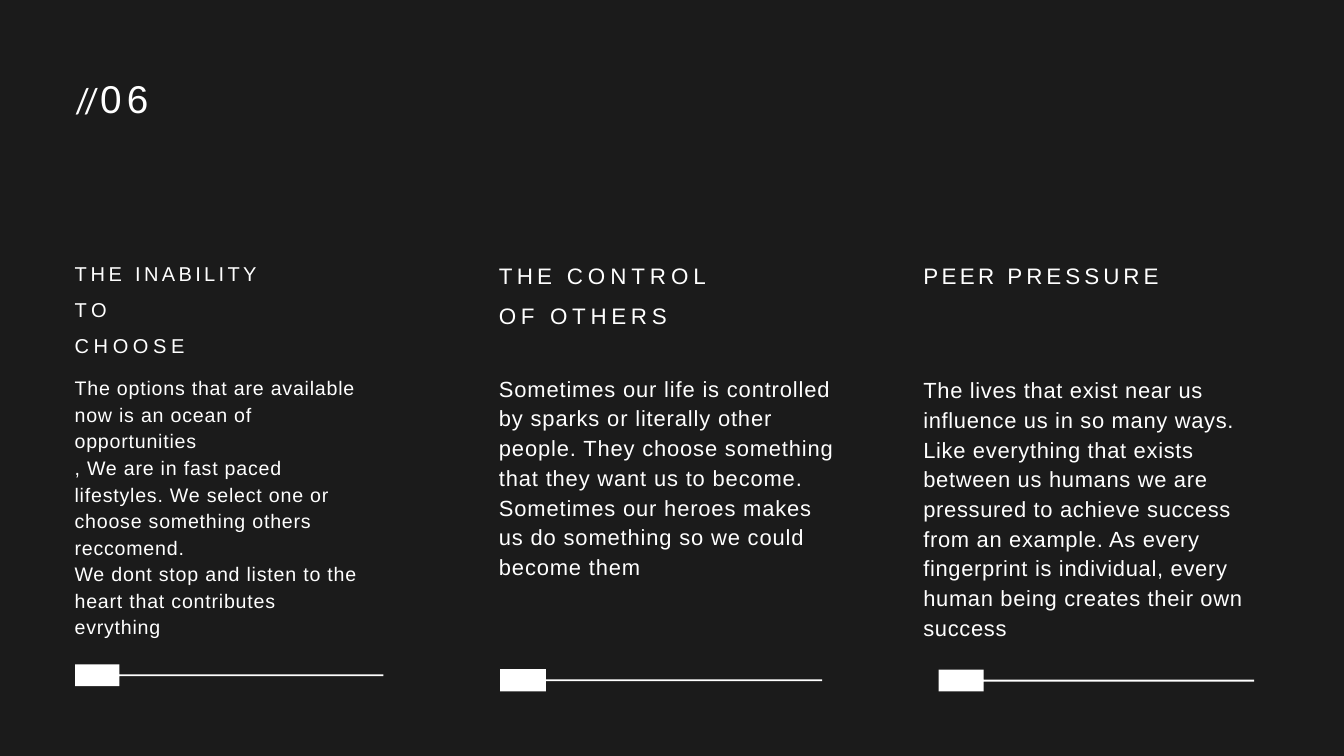
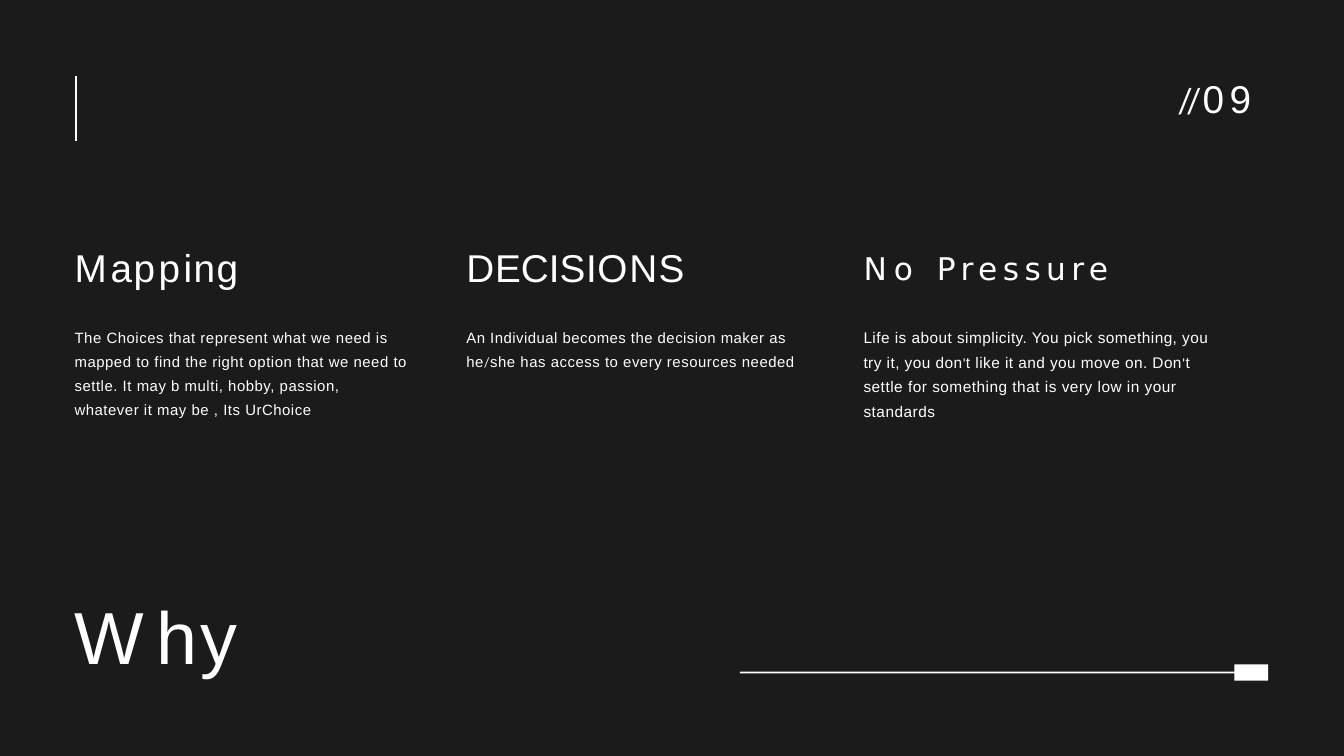
from copy import deepcopy
from dataclasses import dataclass

from pptx import Presentation
from pptx.dml.color import RGBColor
from pptx.enum.shapes import MSO_CONNECTOR
from pptx.enum.text import MSO_ANCHOR, MSO_AUTO_SIZE, PP_ALIGN
from pptx.oxml import parse_xml
from pptx.oxml.ns import nsdecls
from pptx.util import Cm, Pt

LEFT = PP_ALIGN.LEFT
TOP = MSO_ANCHOR.TOP
NO_FIT = MSO_AUTO_SIZE.NONE
STRAIGHT = MSO_CONNECTOR.STRAIGHT
TITLE_ONLY = 5


@dataclass(frozen=True)
class Theme:
    """Colours, fonts and sizes shared by the slides."""
    back: RGBColor = RGBColor(0x1B, 0x1B, 0x1B)
    ink: RGBColor = RGBColor(0xFF, 0xFF, 0xFF)
    font: str = "Arial"
    accent_font: str = "Lato"
    wide_font: str = "DejaVu Sans"
    slash: float = 36.5
    number: float = 41.5
    word: float = 79
    margin: float = 2.82
    bar: float = 0.07


THEME = Theme()

CAUSES = [
    dict(head=(9.4, 8.69, 2.79), head_size=21.5, head_line=1.49,
         title=[("THE ", 4), ("INABILITY ", 3.6), ("TO\vCHOOSE", 5)],
         body=(14.07, 11.48, 7.11), size=21, spacing=0.85,
         text=["The options that are available\vnow is an ocean of opportunities",
               ", We are in fast paced\vlifestyles. We select one or\v"
               "choose something others\vreccomend.",
               "We dont stop and listen to the\vheart that contributes\vevrything"],
         slider=(2.84, 25.12, 11.65, 0.82), knob=1.67),
    dict(head=(9.37, 9.86, 3.1), head_size=24, head_line=1.49,
         title=[("THE ", 4.5), ("CONTROL\v", 5.3), ("OF OTHERS", 5)],
         body=(14.02, 12.98, 7.95), size=23.5, spacing=0.92,
         text=["Sometimes our life is controlled\vby sparks or literally other\v"
               "people. They choose something\vthat they want us to become.",
               "Sometimes our heroes makes\vus do something so we could\vbecome them"],
         slider=(18.9, 25.3, 12.18, 0.84), knob=1.73),
    dict(head=(9.86, 9.07, 1.09), head_size=24, head_line=1,
         title=[("PEER ", 3.6), ("PRESSURE", 4.3)],
         body=(14.07, 12.14, 10.21), size=23.5, spacing=0.75,
         text=["The lives that exist near us\vinfluence us in so many ways.\v"
               "Like everything that exists\vbetween us humans we are\v"
               "pressured to achieve success\vfrom an example. As every\v"
               "fingerprint is individual, every\vhuman being creates their own\vsuccess"],
         slider=(35.48, 25.32, 11.92, 0.82), knob=1.7),
]

QUOTE = ("'", 0.5, THEME.accent_font, 14.5)
REASONS = [
    dict(left=2.82, head=(9.19, 6.4, 1.83), head_size=41.5, head_font=THEME.font,
         title=[("M", 4), ("a", 1.5), ("pp", 3.8), ("in", 1.5), ("g", 3.8)],
         body=(12.17, 12.7, 3.66), size=16,
         text=[("The Choices that represent what we need is\v"
                "mapped to find the right option that we need to\v"
                "settle. It may b multi, hobby, passion,\v"
                "whatever it may be , Its UrChoice", 0.6)]),
    dict(left=17.63, head=(9.19, 8.36, 1.83), head_size=41.5, head_font=THEME.font,
         title=[("D", 0.7), ("ECI", 0), ("SI", 0.6), ("O", 2), ("NS", 1.3)],
         body=(12.17, 12.57, 1.88), size=16,
         text=[("An Individual becomes the decision maker as\vhe", 0.53),
               ("/", 0.3, THEME.accent_font, 14),
               ("she has access to every resources needed", 0.6)]),
    dict(left=32.64, head=(9.4, 9.4, 1.5), head_size=33.5, head_font=THEME.wide_font,
         title=[("No ", 7.5), ("Pressure", 5.8)],
         body=(12.14, 13.26, 3.78), size=16.5,
         text=[("Life is about simplicity. You pick something, you\vtry it, you don", 0.5),
               QUOTE, ("t like it and you move on. Don", 0.5), QUOTE,
               ("t\vsettle for something that is very low in your\vstandards", 0.58)]),
]


def add_run(p, text, spacing, font, size):
    """Append one formatted run with letter spacing in points."""
    r = p.add_run()
    r.text = text
    for key, value in dict(name=font, size=Pt(size), bold=False).items():
        setattr(r.font, key, value)
    r.font.color.rgb = THEME.ink
    r._r.get_or_add_rPr().set("spc", str(round(spacing * 100)))
    return r


def fill_text(tf, paragraphs, size, font=THEME.font, line=1.0, inset=0):
    """Write paragraphs of (text, spacing[, font, size]) runs into a frame."""
    frame = dict(word_wrap=True, auto_size=NO_FIT, vertical_anchor=TOP,
                 margin_left=Cm(inset), margin_top=Cm(0.04),
                 margin_right=0, margin_bottom=0)
    for key, value in frame.items():
        setattr(tf, key, value)
    for i, runs in enumerate(paragraphs):
        p = tf.add_paragraph() if i else tf.paragraphs[0]
        p.alignment, p.line_spacing = LEFT, line
        for text, spacing, *look in runs:
            run_font, run_size = look or (font, size)
            for j, part in enumerate(text.split("\v")):
                if j:
                    p.add_line_break()
                    p._p[-1].append(deepcopy(r._r.rPr))
                if part:
                    r = add_run(p, part, spacing, run_font, run_size)


def add_text(s, left, box, paragraphs, size, **look):
    """Add a text box at left, with box giving top, width and height."""
    top, width, height = box
    sp = s.shapes.add_textbox(Cm(left), Cm(top), Cm(width), Cm(height))
    fill_text(sp.text_frame, paragraphs, size, **look)


def add_slider(s, box, knob, knob_right=False):
    """Draw a thin bar with a block at one end, filling the box."""
    left, top, width, height = box
    mid = top + height / 2
    high, low = mid - THEME.bar / 2, mid + THEME.bar / 2
    outline = [(width, high), (knob, high), (knob, top), (0, top),
               (0, top + height), (knob, top + height), (knob, low), (width, low)]
    points = [(Cm(left + (width - x if knob_right else x)), Cm(y)) for x, y in outline]
    builder = s.shapes.build_freeform(*points[0])
    builder.add_line_segments(points[1:])
    sp = builder.convert_to_shape()
    sp.shadow.inherit = False
    sp.fill.solid()
    sp.fill.fore_color.rgb = THEME.ink
    sp.line.fill.background()


def add_rule(s, x, top, height):
    """Draw a vertical hairline."""
    line = s.shapes.add_connector(STRAIGHT, Cm(x), Cm(top), Cm(x), Cm(top + height))
    line.line.color.rgb = THEME.ink
    line.line.width = Cm(THEME.bar)
    line._element.spPr.append(parse_xml(f"<a:effectLst {nsdecls('a')}/>"))


def add_number(s, digits, width, inset=0):
    """Set the slide number in the title placeholder."""
    sp = s.shapes.title
    box = dict(left=THEME.margin, top=2.79, width=width, height=1.83)
    for key, value in box.items():
        setattr(sp, key, Cm(value))
    runs = [("//", 1.2, THEME.accent_font, THEME.slash), (digits[0], 5.7), (digits[1], 4.6)]
    fill_text(sp.text_frame, [runs], THEME.number, inset=inset)


def add_cause(s, left, cause):
    """Place one column with heading, text and slider."""
    add_text(s, left, cause["head"], [cause["title"]], cause["head_size"],
             line=cause["head_line"])
    paragraphs = [[(text, cause["spacing"])] for text in cause["text"]]
    add_text(s, left, cause["body"], paragraphs, cause["size"], line=1.13)
    add_slider(s, cause["slider"], cause["knob"])


def add_reason(s, reason):
    """Place one column with a large heading and small text."""
    left = reason["left"]
    add_text(s, left, reason["head"], [reason["title"]], reason["head_size"],
             font=reason["head_font"])
    add_text(s, left, reason["body"], [reason["text"]], reason["size"], line=1.33)


def causes_slide(prs):
    """Build the slide of three causes."""
    s = prs.slides.add_slide(prs.slide_layouts[TITLE_ONLY])
    add_number(s, "06", 3.51)
    for i, cause in enumerate(CAUSES):
        add_cause(s, THEME.margin + 16.04 * i, cause)


def reasons_slide(prs):
    """Build the slide of three reasons."""
    s = prs.slides.add_slide(prs.slide_layouts[TITLE_ONLY])
    add_number(s, "09", 45.16, inset=41.68)
    add_rule(s, 2.88, 2.86, 2.46)
    for reason in REASONS:
        add_reason(s, reason)
    add_text(s, THEME.margin, (22.28, 6.43, 3.43),
             [[("W", 13.3), ("h", 3.6), ("y", 5.2)]], THEME.word)
    add_slider(s, (27.97, 25.12, 19.96, 0.61), 1.27, knob_right=True)


def main():
    """Create the presentation."""
    prs = Presentation()
    prs.slide_width, prs.slide_height = Cm(50.8), Cm(28.58)
    fill = prs.slide_master.background.fill
    fill.solid()
    fill.fore_color.rgb = THEME.back
    causes_slide(prs)
    reasons_slide(prs)
    prs.save("out.pptx")


if __name__ == "__main__":
    main()
